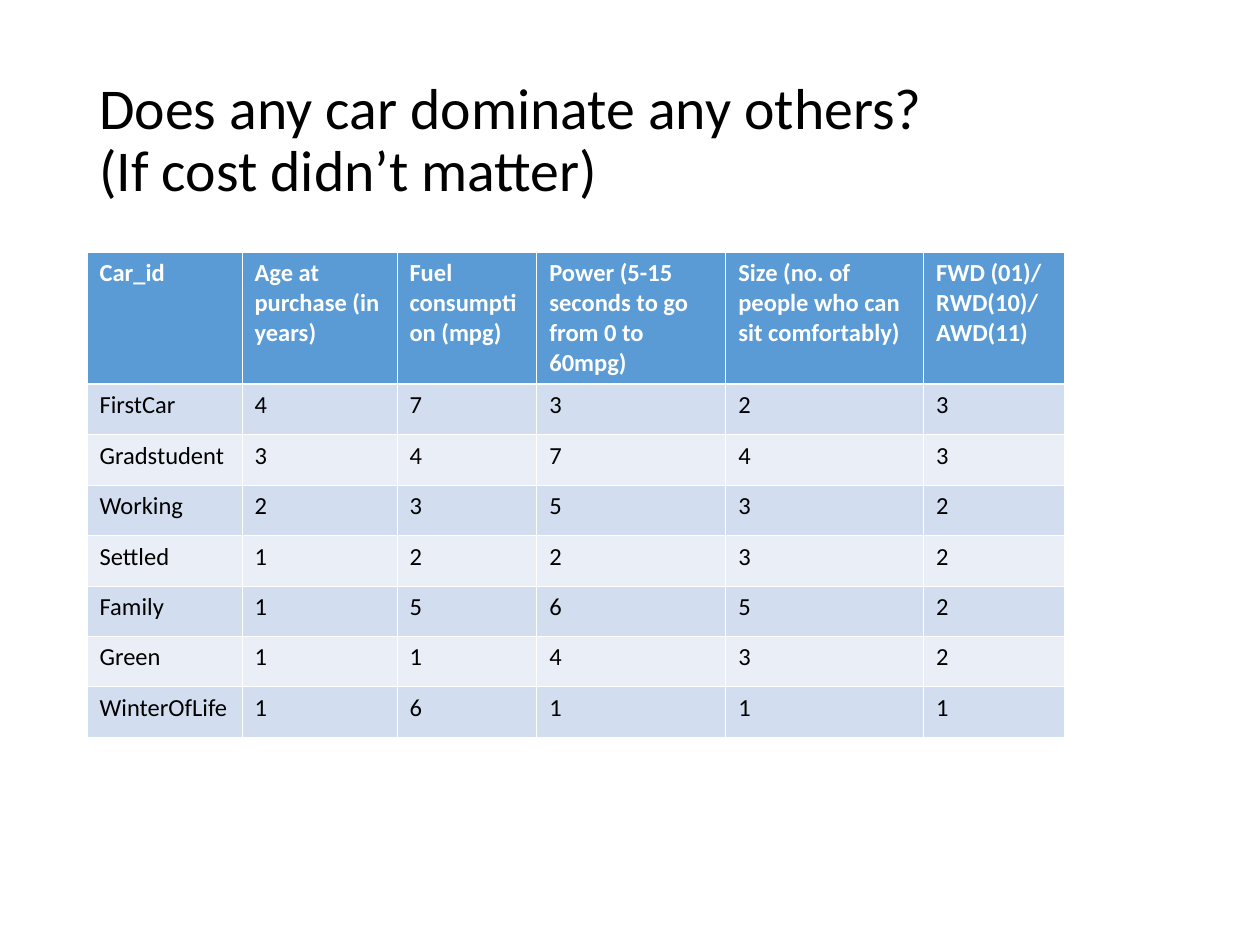
from lxml import etree
from pptx import Presentation
from pptx import util as u
from pptx.dml.color import RGBColor
from pptx.enum import text
from pptx.oxml.ns import qn

# Content
TITLE = "Does any car dominate any others?\v(If cost didn’t matter)"
HEADER = (
    "Car_id",
    "Age at purchase (in years)",
    "Fuel consumption (mpg)",
    "Power (5-15 seconds to go from 0 to 60mpg)",
    "Size (no. of people who can sit comfortably)",
    "FWD (01)/ RWD(10)/ AWD(11)",
)
CARS = [
    ("FirstCar", 4, 7, 3, 2, 3),
    ("Gradstudent", 3, 4, 7, 4, 3),
    ("Working", 2, 3, 5, 3, 2),
    ("Settled", 1, 2, 2, 3, 2),
    ("Family", 1, 5, 6, 5, 2),
    ("Green", 1, 1, 4, 3, 2),
    ("WinterOfLife", 1, 6, 1, 1, 1),
]

THEME = {
    "font": "Calibri", "title_size": 33, "cell_size": 14,
    "text": "000000", "header_text": "FFFFFF", "header": "5B9BD5",
    "bands": ("D2DEEF", "EAEFF7"), "border": "FFFFFF",
    "thin": 0.45, "thick": 1.47,
}

# Layout, in inches
LEFT = 0.69
TITLE_TOP, TITLE_W, TITLE_H = 0.4, 8.63, 1.45
TABLE_TOP = 2
COL_WIDTHS = (1.23, 1.23, 1.11, 1.5, 1.57, 1.12)
HEADER_H, ROW_H = 1.05, 0.4


def set_font(p, size, color, bold=False):
    f = p.font
    f.name, f.size, f.bold = THEME["font"], u.Pt(size), bold
    f.color.rgb = RGBColor.from_string(color)


def set_borders(cell, widths):
    """Draw the left, right, top and bottom borders; widths are in points."""
    tc_pr = cell._tc.get_or_add_tcPr()
    for i, (side, width) in enumerate(zip(("lnL", "lnR", "lnT", "lnB"), widths)):
        ln = etree.Element(qn(f"a:{side}"), w=str(u.Pt(width)))
        fill = etree.SubElement(ln, qn("a:solidFill"))
        etree.SubElement(fill, qn("a:srgbClr"), val=THEME["border"])
        tc_pr.insert(i, ln)


def add_title(s):
    tf = s.shapes.add_textbox(u.Inches(LEFT), u.Inches(TITLE_TOP),
                              u.Inches(TITLE_W), u.Inches(TITLE_H)).text_frame
    tf.word_wrap = True
    tf.vertical_anchor = text.MSO_ANCHOR.MIDDLE
    p = tf.paragraphs[0]
    p.text = TITLE
    p.line_spacing = 0.9
    set_font(p, THEME["title_size"], THEME["text"])


def add_car_table(s):
    rows = [HEADER, *CARS]
    heights = [HEADER_H] + [ROW_H] * len(CARS)
    table = s.shapes.add_table(
        len(rows), len(HEADER), u.Inches(LEFT), u.Inches(TABLE_TOP),
        u.Inches(sum(COL_WIDTHS)), u.Inches(sum(heights))).table
    for col, width in zip(table.columns, COL_WIDTHS):
        col.width = u.Inches(width)

    thin, thick = THEME["thin"], THEME["thick"]
    for i, (values, height) in enumerate(zip(rows, heights)):
        table.rows[i].height = u.Inches(height)
        is_header = i == 0
        fill = THEME["header"] if is_header else THEME["bands"][(i - 1) % 2]
        color = THEME["header_text" if is_header else "text"]
        # The rule under the header is heavier than the grid
        top = thick if i == 1 else thin
        bottom = thick if is_header else thin
        for j, value in enumerate(values):
            cell = table.cell(i, j)
            cell.text = str(value)
            cell.fill.solid()
            cell.fill.fore_color.rgb = RGBColor.from_string(fill)
            set_font(cell.text_frame.paragraphs[0], THEME["cell_size"], color, is_header)
            set_borders(cell, (thin, thin, top, bottom))


def main():
    prs = Presentation()
    prs.slide_width, prs.slide_height = u.Inches(10), u.Inches(7.5)
    s = prs.slides.add_slide(prs.slide_layouts[6])
    add_title(s)
    add_car_table(s)
    prs.save("out.pptx")


if __name__ == "__main__":
    main()
